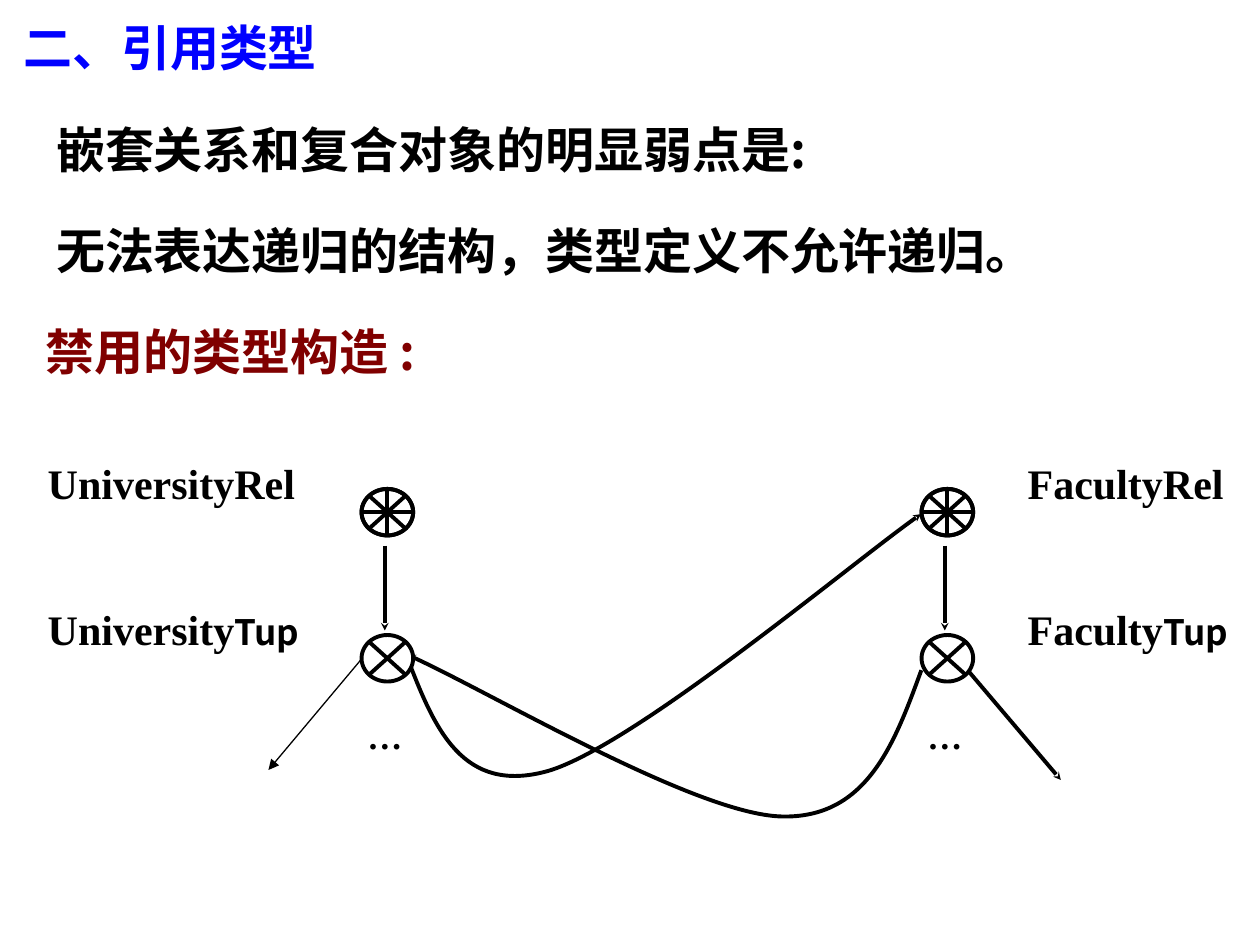
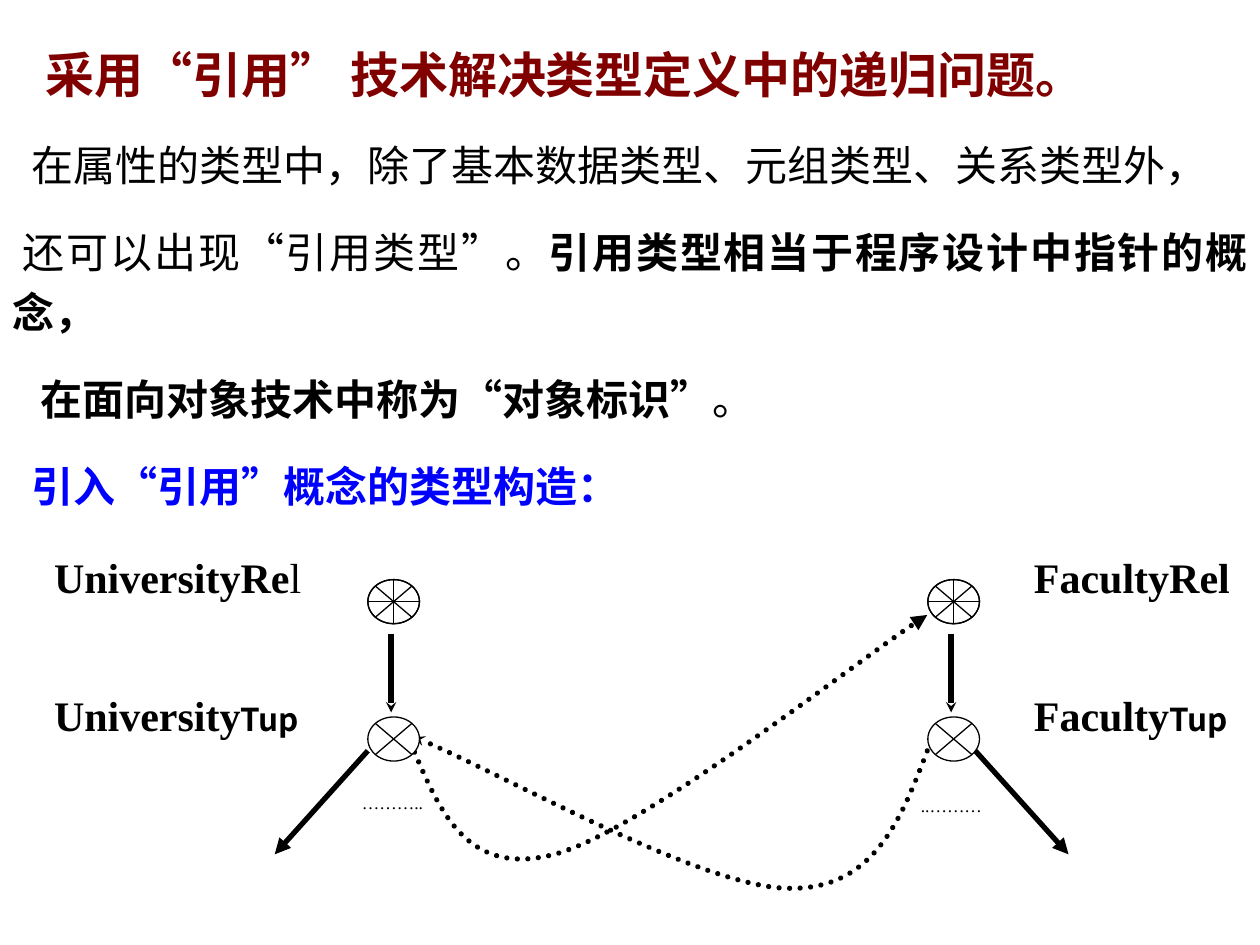
"""Two slides on recursive types and reference types."""
from itertools import groupby

from lxml import etree
from pptx import Presentation
from pptx.dml.color import RGBColor
from pptx.enum import dml, shapes, text
from pptx.oxml import ns
from pptx.util import Pt

HUES = {"ink": "000000", "blue": "0000FF", "red": "800000", "page": "FFFFFF"}
SANS, SERIF = "Noto Sans CJK SC", "Times New Roman"
GAP = 320


def hue(name):
    """Return a colour from the palette."""
    return RGBColor.from_string(HUES[name])


def style(font, size, bold, color, face, east):
    """Set every trait of a font, with its East Asian face."""
    font.size, font.bold, font.name = Pt(size), bold, face
    font.color.rgb = hue(color)
    etree.SubElement(font._rPr, ns.qn("a:ea")).set("typeface", east)


def write(para, runs):
    """Fill a paragraph with (text, look) runs."""
    looks = {look for _, look in runs}
    if len(looks) == 1:
        style(para.font, *looks.pop())
        para.add_run().text = runs[0][0]
        return
    for words, look in runs:
        run = para.add_run()
        run.text = words
        style(run.font, *look)


def quote(words, size, bold=True, color="ink"):
    """Split words into runs, with curly quotes in the serif face."""
    return [("".join(part), (size, bold, color, SERIF if curly else SANS, SANS))
            for curly, part in groupby(words, lambda c: c in "“”")]


def box(slide, x, y, wide, high):
    """Add a wrapping text box and return its frame."""
    frame = slide.shapes.add_textbox(Pt(x), Pt(y), Pt(wide), Pt(high)).text_frame
    frame.word_wrap = True
    return frame


def label(slide, x, y, wide, high, runs, align=text.PP_ALIGN.JUSTIFY):
    """Add a one-line label."""
    para = box(slide, x, y, wide, high).paragraphs[0]
    para.alignment = align
    write(para, runs)


def body(slide, y, high, space, rows):
    """Add the running text from (indent, runs) rows."""
    frame = box(slide, 0, y, 720, high)
    for i, (indent, runs) in enumerate(rows):
        para = frame.add_paragraph() if i else frame.paragraphs[0]
        para.alignment = text.PP_ALIGN.JUSTIFY
        para.line_spacing = 1.2
        para.space_before = Pt(space if i else 0)
        props = para._p.get_or_add_pPr()
        props.set("indent", str(Pt(indent)))
        props.set("hangingPunct", "0")
        write(para, runs)


def pen(shape, width, head=None, dots=False):
    """Give a shape its black line, arrowhead and dots."""
    line = shape.line
    line.color.rgb, line.width = hue("ink"), Pt(width)
    ln = line._get_or_add_ln()
    if dots:
        line.dash_style = dml.MSO_LINE.ROUND_DOT
        ln.set("cap", "rnd")
    if head:
        size = "sm" if head == "stealth" else "med"
        etree.SubElement(ln, ns.qn("a:tailEnd"), type=head, w=size, len=size)


def arrow(slide, start, end, width, head):
    """Draw a straight arrow."""
    link = slide.shapes.add_connector(
        shapes.MSO_CONNECTOR.STRAIGHT, *map(Pt, start + end))
    pen(link, width, head)
    etree.SubElement(link._element.spPr, ns.qn("a:effectLst"))


def curve(slide, points, width, head, dots=False):
    """Draw a curved arrow: a start, then three points for each Bezier piece."""
    spots = [(Pt(x), Pt(y)) for x, y in points]
    build = slide.shapes.build_freeform(*spots[0])
    build.add_line_segments(spots[1:], close=False)
    shape = build.convert_to_shape()
    shape.shadow.inherit = False
    shape.fill.background()
    pen(shape, width, head, dots)
    steps = list(shape._element.iter(ns.qn("a:lnTo")))
    road = steps[0].getparent()
    for i in range(0, len(steps), 3):
        bend = etree.SubElement(road, ns.qn("a:cubicBezTo"))
        for step in steps[i:i + 3]:
            bend.append(step[0])
            road.remove(step)


def node(slide, kind, x, y, high, width, solid=True):
    """Draw a round type node."""
    shape = slide.shapes.add_shape(kind, Pt(x), Pt(y), Pt(29.5), Pt(high))
    shape.shadow.inherit = False
    if solid:
        shape.fill.solid()
        shape.fill.fore_color.rgb = hue("page")
    else:
        shape.fill.background()
    pen(shape, width)


def graph(slide, x, y, step, high, ring, stem, lift, tup, rels):
    """Draw both columns of nodes with stems and labels."""
    cross, plus = shapes.MSO_SHAPE.FLOWCHART_SUMMING_JUNCTION, shapes.MSO_SHAPE.FLOWCHART_OR
    bold = (24, True, "ink", SERIF, SERIF)
    for i, (name, rel) in enumerate(zip(("University", "Faculty"), rels)):
        left, low = x + i * GAP, y + step
        mid = left + 13.3
        arrow(slide, (mid, y + high + 5.8), (mid, low - 2.6), stem, "stealth")
        node(slide, cross, left, low, high, ring)
        node(slide, cross, left, y, high, ring)
        node(slide, plus, left, y, high, ring, False)
        side = x - 186.4 + i * 560
        label(slide, side, y - lift, 160, 60, [(w, bold[:1] + (b,) + bold[2:]) for w, b in rel])
        label(slide, side, low - lift, 160, 60,
              [(name, bold), ("Tup", (tup, True, "ink", SANS, SANS))])


def weak(slide):
    """Build the slide on the forbidden type structure."""
    body(slide, 0, 279, 17.5, [
        (6.3, quote("二、引用类型", 28, color="blue")),
        (25, quote("嵌套关系和复合对象的明显弱点是:", 28)),
        (25, quote("无法表达递归的结构，类型定义不允许递归。", 28)),
        (19, quote("禁用的类型构造 :", 28, color="red"))])
    arrow(slide, (206.6, 376.6), (153.4, 440), 0.75, "triangle")
    arrow(slide, (553, 383), (606.2, 445.7), 2.25, "stealth")
    curve(slide, [(526.5, 383), (511.2, 424.8), (495.4, 468), (446.4, 466.6),
                  (397.4, 465.1), (277.2, 393.8), (233.3, 374.4)], 2.25, "stealth")
    curve(slide, [(233.3, 377.3), (248.4, 416.2), (264.2, 454.3), (313.2, 440.6),
                  (362.2, 426.2), (491, 318.2), (526.3, 293.8)], 2.25, "stealth")
    graph(slide, 206.6, 279.4, 83.5, 26.6, 2.25, 2.25, 21.4, 20,
          ([("UniversityRel", True)], [("FacultyRel", True)]))
    for x in (180, 180 + GAP):
        label(slide, x, 405, 80, 63, [("…", (20, True, "ink", SERIF, SERIF))],
              text.PP_ALIGN.CENTER)


def refer(slide):
    """Build the slide on the reference type structure."""
    body(slide, 15.1, 281, 15, [
        (19, quote("采用“引用” 技术解决类型定义中的递归问题。", 28, color="red")),
        (10.8, quote("在属性的类型中，除了基本数据类型、元组类型、关系类型外，", 24, False)),
        (6, quote("还可以出现“引用类型”。", 24, False)
         + quote("引用类型相当于程序设计中指针的概念，", 24)),
        (16, quote("在面向对象技术中称为“对象标识”", 24) + quote("。", 24, False)),
        (10.8, quote("引入“引用”概念的类型构造：", 24, color="blue"))])
    arrow(slide, (210.2, 429), (157, 488.2), 3, "triangle")
    arrow(slide, (557.3, 429), (610.6, 488.2), 3, "triangle")
    curve(slide, [(236.9, 429.8), (252, 465.1), (267.8, 501.1), (316.8, 488.2),
                  (365.8, 475.2), (494.6, 373.7), (529.9, 351.4)], 3, "triangle", True)
    curve(slide, [(529.9, 429.1), (514.8, 468.7), (499, 509), (450, 507.6),
                  (401, 506.9), (281.5, 439.2), (236.9, 421.2)], 3, "stealth", True)
    graph(slide, 210.2, 331.2, 78.5, 25.2, 0.75, 3, 19.4, 18,
          ([("UniversityRe", True), ("l", False)], [("FacultyRel", True)]))
    for words, x, y, wide in (("………..", 184.3, 449.3, 80), ("..………", 472.3, 450.7, 142.6)):
        label(slide, x, y, wide, 59, [(words, (10, False, "ink", SERIF, SERIF))],
              text.PP_ALIGN.CENTER)


def main():
    """Build and save the deck."""
    deck = Presentation()
    deck.slide_width, deck.slide_height = Pt(720), Pt(540)
    for build in (weak, refer):
        build(deck.slides.add_slide(deck.slide_layouts[6]))
    deck.save("out.pptx")


if __name__ == "__main__":
    main()
